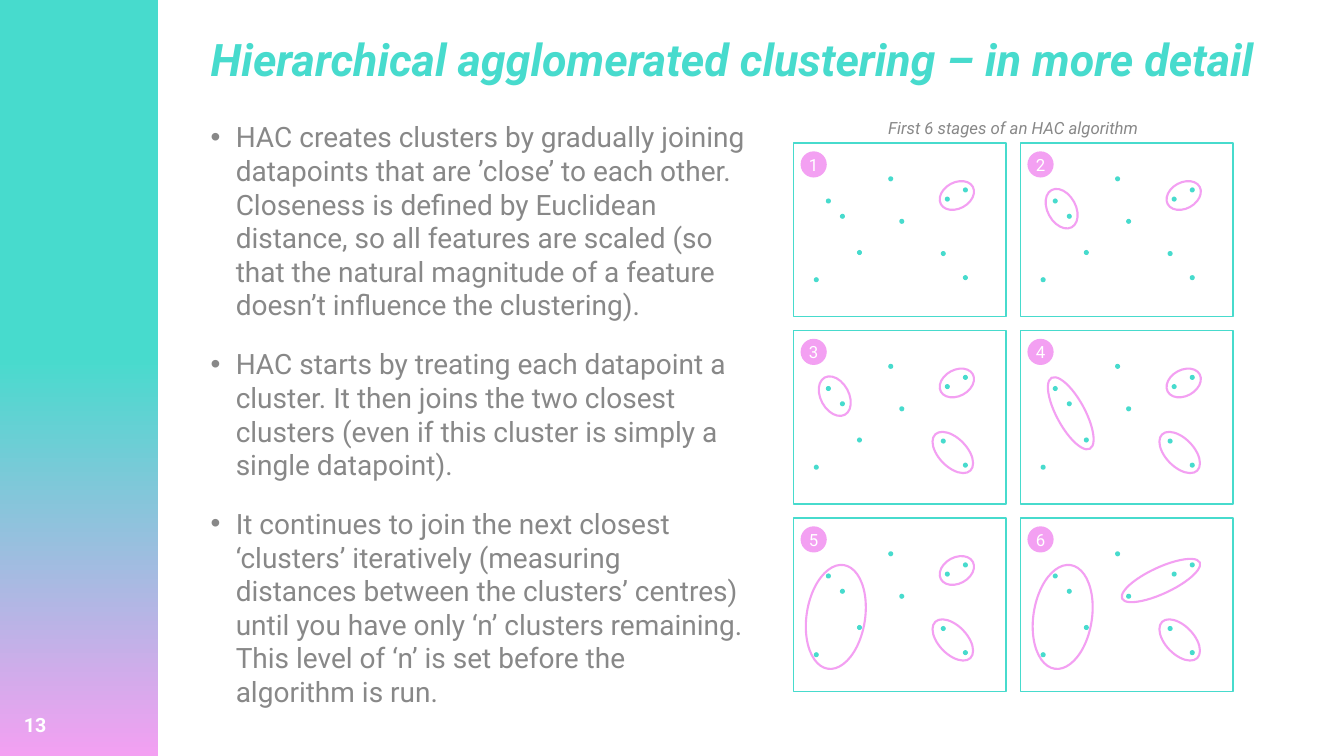
import pptx
import pptx.dml.color
import pptx.enum.shapes
import pptx.enum.text
import pptx.util
from lxml import etree

SHAPES = pptx.enum.shapes.MSO_SHAPE
ANCHOR = pptx.enum.text.MSO_ANCHOR
ALIGN = pptx.enum.text.PP_ALIGN

WIDTH, HEIGHT = 13.33, 7.5
TEAL, PINK, GREY, WHITE = "47DBCD", "F3A0F2", "888888", "FFFFFF"
FONT = "Roboto"

BULLETS = [
    "HAC creates clusters by gradually joining datapoints that are ’close’ to each other. "
    "Closeness is defined by Euclidean distance, so all features are scaled (so that the "
    "natural magnitude of a feature doesn’t influence the clustering).",
    "HAC starts by treating each datapoint a cluster. It then joins the two closest "
    "clusters (even if this cluster is simply a single datapoint).",
    "It continues to join the next closest ‘clusters’ iteratively (measuring distances "
    "between the clusters’ centres) until you have only ‘n’ clusters remaining. This level "
    "of ‘n’ is set before the algorithm is run.",
]

# Datapoint centres, in percent of a panel's width and height
DATAPOINTS = [
    (16.4, 33.4), (23, 42.2), (31, 63.1), (80.8, 77.6), (45.7, 20.6),
    (80.8, 27), (72.3, 32.3), (70.4, 63.7), (50.9, 45.1), (10.7, 78.8),
]
# Clusters: centre and size in percent of a panel, then rotation in degrees
CLUSTERS = {
    "upper right pair": (76.8, 30.2, 17.1, 15.1, 331.6),
    "upper left pair": (19.4, 37.8, 13.3, 24.4, 331.6),
    "lower right pair": (74.9, 70.3, 13.3, 29.1, 315.9),
    "left three": (23.7, 47.7, 13.3, 46.5, 331.6),
    "left four": (19.9, 57, 27.5, 60.5, 8.8),
    "upper right three": (66.1, 36, 40.3, 15.1, 335),
}
STAGES = [
    ["upper right pair"],
    ["upper right pair", "upper left pair"],
    ["upper right pair", "upper left pair", "lower right pair"],
    ["upper right pair", "left three", "lower right pair"],
    ["upper right pair", "left four", "lower right pair"],
    ["upper right three", "left four", "lower right pair"],
]


def color(value):
    return pptx.dml.color.RGBColor.from_string(value)


def inches(*values):
    return [pptx.util.Inches(value) for value in values]


def add_run(paragraph, text, size, value, bold=False, italic=False):
    run = paragraph.add_run()
    run.text = text
    run.font.name = FONT
    run.font.size = pptx.util.Pt(size)
    run.font.color.rgb = color(value)
    run.font.bold = bold
    run.font.italic = italic


def add_text_box(slide, box, anchor=ANCHOR.TOP):
    frame = slide.shapes.add_textbox(*inches(*box)).text_frame
    frame.word_wrap = True
    frame.vertical_anchor = anchor
    return frame


def add_shape(slide, kind, box, fill=None, line=None, line_width=1):
    shape = slide.shapes.add_shape(kind, *inches(*box))
    shape.shadow.inherit = False
    if fill:
        shape.fill.solid()
        shape.fill.fore_color.rgb = color(fill)
    else:
        shape.fill.background()
    if line:
        shape.line.color.rgb = color(line)
        shape.line.width = pptx.util.Pt(line_width)
    else:
        shape.line.fill.background()
    return shape


def centred(panel, x, y, width, height):
    """Box of a size in inches around a point in percent of the panel."""
    left, top, panel_width, panel_height = panel
    return (left + x / 100 * panel_width - width / 2,
            top + y / 100 * panel_height - height / 2, width, height)


def add_sidebar(slide, box, number):
    left, top, width, height = box
    bar = add_shape(slide, SHAPES.RECTANGLE, box)
    bar.fill.gradient()
    bar.fill.gradient_angle = 270
    for stop, position, value in zip(bar.fill.gradient_stops, (0.47, 1), (TEAL, PINK)):
        stop.position = position
        stop.color.rgb = color(value)
    # Slide number near the foot
    frame = add_text_box(slide, (left + 0.07, top + height - 0.48, 0.56, 0.4))
    paragraph = frame.paragraphs[0]
    paragraph.alignment = ALIGN.CENTER
    add_run(paragraph, number, 14, WHITE, bold=True)


def add_title(slide, box, text):
    title = slide.shapes.title
    title.left, title.top, title.width, title.height = inches(*box)
    frame = title.text_frame
    frame.word_wrap = True
    frame.auto_size = pptx.enum.text.MSO_AUTO_SIZE.NONE
    frame.vertical_anchor = ANCHOR.MIDDLE
    paragraph = frame.paragraphs[0]
    paragraph.alignment = ALIGN.LEFT
    paragraph.line_spacing = 0.9
    add_run(paragraph, text, 32, TEAL, bold=True, italic=True)


def add_bullets(slide, box, texts):
    frame = add_text_box(slide, box)
    indent = pptx.util.Inches(0.25)
    for index, text in enumerate(texts):
        paragraph = frame.add_paragraph() if index else frame.paragraphs[0]
        properties = paragraph._p.get_or_add_pPr()
        properties.set("marL", str(indent))
        properties.set("indent", str(-indent))
        if index:
            paragraph.space_before = pptx.util.Pt(18)
        namespace = pptx.oxml.ns.qn("a:buFont")
        etree.SubElement(properties, namespace, typeface="Arial")
        etree.SubElement(properties, pptx.oxml.ns.qn("a:buChar"), char="•")
        add_run(paragraph, text, 20, GREY)


def add_stage(slide, panel, number, clusters):
    width, height = panel[2:]
    add_shape(slide, SHAPES.RECTANGLE, panel, line=TEAL)
    for x, y in DATAPOINTS:
        add_shape(slide, SHAPES.OVAL, centred(panel, x, y, 0.05, 0.05), fill=TEAL)
    for name in clusters:
        x, y, wide, high, rotation = CLUSTERS[name]
        box = centred(panel, x, y, wide / 100 * width, high / 100 * height)
        outline = add_shape(slide, SHAPES.OVAL, box, line=PINK, line_width=1.5)
        outline.rotation = rotation
    # Numbered badge
    badge = add_shape(slide, SHAPES.OVAL, centred(panel, 9.5, 12.3, 0.26, 0.26), fill=PINK)
    frame = badge.text_frame
    frame.margin_left = frame.margin_right = frame.margin_top = frame.margin_bottom = 0
    frame.word_wrap = False
    frame.vertical_anchor = ANCHOR.MIDDLE
    frame.paragraphs[0].alignment = ALIGN.CENTER
    add_run(frame.paragraphs[0], str(number), 12, WHITE)


def add_stages(slide, box, caption):
    left, top, width, height = box
    gap, columns, rows = 0.14, 2, 3
    panel_width = (width - gap * (columns - 1)) / columns
    panel_height = (height - gap * (rows - 1)) / rows
    frame = add_text_box(slide, (left, top - 0.36, width, 0.41), ANCHOR.MIDDLE)
    frame.paragraphs[0].alignment = ALIGN.CENTER
    add_run(frame.paragraphs[0], caption, 12, GREY, italic=True)
    for index, clusters in enumerate(STAGES):
        row, column = divmod(index, columns)
        panel = (left + column * (panel_width + gap), top + row * (panel_height + gap),
                 panel_width, panel_height)
        add_stage(slide, panel, index + 1, clusters)


def main():
    presentation = pptx.Presentation()
    presentation.slide_width, presentation.slide_height = inches(WIDTH, HEIGHT)
    slide = presentation.slides.add_slide(presentation.slide_layouts[5])
    text_left = 1.99
    add_sidebar(slide, (0, 0, 1.57, HEIGHT), "13")
    add_title(slide, (text_left, 0.32, 10.94, 0.59),
              "Hierarchical agglomerated clustering – in more detail")
    add_bullets(slide, (text_left, 1.14, 5.5, 6.12), BULLETS)
    add_stages(slide, (7.87, 1.42, 4.36, 5.44), "First 6 stages of an HAC algorithm")
    presentation.save("out.pptx")


if __name__ == "__main__":
    main()
